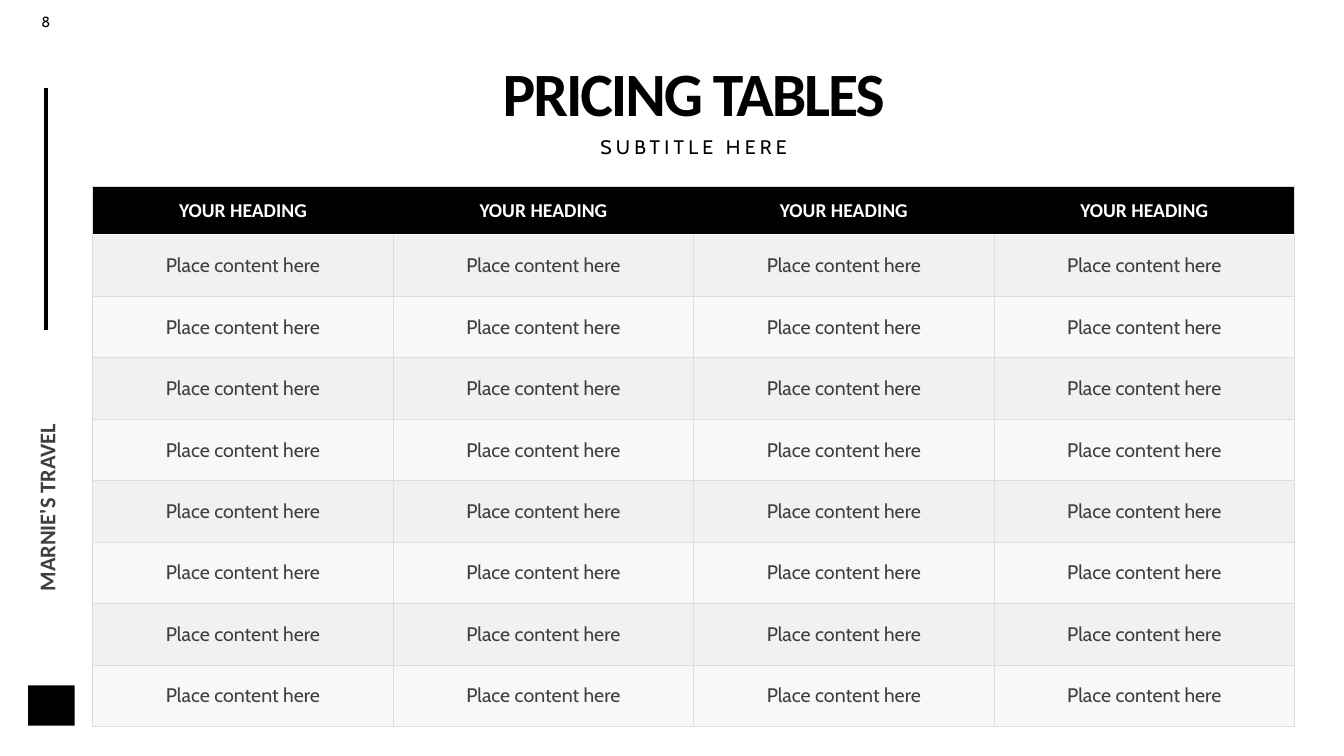
import pptx
import pptx.dml.color
import pptx.enum.shapes
import pptx.enum.text
import pptx.oxml.ns
import pptx.util
import lxml.etree

Inches = pptx.util.Inches
Pt = pptx.util.Pt
qn = pptx.oxml.ns.qn
CENTER = pptx.enum.text.PP_ALIGN.CENTER
LEFT = pptx.enum.text.PP_ALIGN.LEFT
TOP = pptx.enum.text.MSO_ANCHOR.TOP
MIDDLE = pptx.enum.text.MSO_ANCHOR.MIDDLE
BOTTOM = pptx.enum.text.MSO_ANCHOR.BOTTOM


def color(value):
    return pptx.dml.color.RGBColor.from_string(value)


def write(paragraph, text, name, size, hex_color, bold=False, alignment=CENTER):
    paragraph.alignment = alignment
    run = paragraph.add_run()
    run.text = text
    run.font.color.rgb = color(hex_color)
    for attribute, value in {"name": name, "size": Pt(size), "bold": bold}.items():
        setattr(run.font, attribute, value)
    return run


presentation = pptx.Presentation()
presentation.slide_width = Inches(13.33)
presentation.slide_height = Inches(7.5)
slide = presentation.slides.add_slide(presentation.slide_layouts[6])

rule = slide.shapes.add_connector(
    pptx.enum.shapes.MSO_CONNECTOR.STRAIGHT,
    Inches(0.46), Inches(3.27), Inches(0.46), Inches(0.87),
)
rule.line.color.rgb = color("000000")
rule.line.width = Pt(3)
lxml.etree.SubElement(rule._element.spPr, qn("a:effectLst"))

corner_block = slide.shapes.add_shape(
    pptx.enum.shapes.MSO_SHAPE.RECTANGLE,
    Inches(0.28), Inches(6.8), Inches(0.46), Inches(0.4),
)
corner_block.shadow.inherit = False
corner_block.fill.solid()
corner_block.fill.fore_color.rgb = color("000000")
corner_block.line.fill.background()

texts = [
    {"text": "8", "box": (0.17, 0.08, 0.57, 0.27), "font": ("Cabin", 10.5, "000000"),
     "anchor": TOP},
    {"text": "PRICING TABLES", "box": (0.92, 0, 11.92, 1.34), "font": ("Calibri", 44, "000000", True),
     "anchor": BOTTOM, "paragraph": {"line_spacing": 0.9}, "spacing": -150},
    {"text": "MARNIE'S TRAVEL", "box": (-0.74, 4.61, 2.4, 0.31), "font": ("Calibri", 16, "3F3F3F", True, LEFT),
     "anchor": MIDDLE, "rotation": 270},
    {"text": "SUBTITLE HERE", "box": (0.92, 1.29, 11.92, 0.35), "font": ("Cabin", 14, "000000"),
     "anchor": MIDDLE, "paragraph": {"line_spacing": 0.9, "space_before": Pt(10)}, "spacing": 300},
]
for item in texts:
    shape = slide.shapes.add_textbox(*[Inches(length) for length in item["box"]])
    shape.rotation = item.get("rotation", 0)
    frame = shape.text_frame
    for attribute, value in {"word_wrap": True, "vertical_anchor": item["anchor"]}.items():
        setattr(frame, attribute, value)
    paragraph = frame.paragraphs[0]
    for attribute, value in item.get("paragraph", {}).items():
        setattr(paragraph, attribute, value)
    run = write(paragraph, item["text"], *item["font"])
    if "spacing" in item:
        run.font._element.set("spc", str(item["spacing"]))

row_count, column_count = 9, 4
table = slide.shapes.add_table(
    row_count, column_count, Inches(0.92), Inches(1.85), Inches(11.92), Inches(5.34)
).table
for column in table.columns:
    column.width = Inches(2.98)
for row_index, row in enumerate(table.rows):
    is_header = row_index == 0
    row.height = Inches(0.48 if is_header else 0.61)
    for column_index, cell in enumerate(row.cells):
        side_margin = Inches(0.08 if is_header else 0.07)
        cell_format = {
            "vertical_anchor": MIDDLE,
            "margin_left": side_margin, "margin_right": side_margin,
            "margin_top": Inches(0.04), "margin_bottom": Inches(0.04),
        }
        for attribute, value in cell_format.items():
            setattr(cell, attribute, value)

        gray, white = ("DDDDDD", 0.5), ("FFFFFF", 1)
        borders = {
            "a:lnL": None if is_header and column_index > 0 else gray,
            "a:lnR": None if is_header and column_index < column_count - 1 else gray,
            "a:lnT": white if row_index == 1 else gray,
            "a:lnB": white if is_header else gray,
        }
        properties = cell._tc.get_or_add_tcPr()
        for tag, border in borders.items():
            line = lxml.etree.SubElement(properties, qn(tag))
            if border is None:
                lxml.etree.SubElement(line, qn("a:noFill"))
                continue
            line.set("w", str(Pt(border[1])))
            line_fill = lxml.etree.SubElement(line, qn("a:solidFill"))
            lxml.etree.SubElement(line_fill, qn("a:srgbClr")).set("val", border[0])

        cell.fill.solid()
        cell.fill.fore_color.rgb = color("000000" if is_header else "DDDDDD")
        paragraph = cell.text_frame.paragraphs[0]
        if is_header:
            write(paragraph, "YOUR HEADING", "Calibri", 14, "FFFFFF", True)
        else:
            fill_color = properties.find(qn("a:solidFill")).find(qn("a:srgbClr"))
            opacity = 40 if row_index % 2 else 20
            lxml.etree.SubElement(fill_color, qn("a:alpha")).set("val", str(opacity * 1000))
            write(paragraph, "Place content here", "Cabin", 14, "3F3F3F")

presentation.save("out.pptx")
